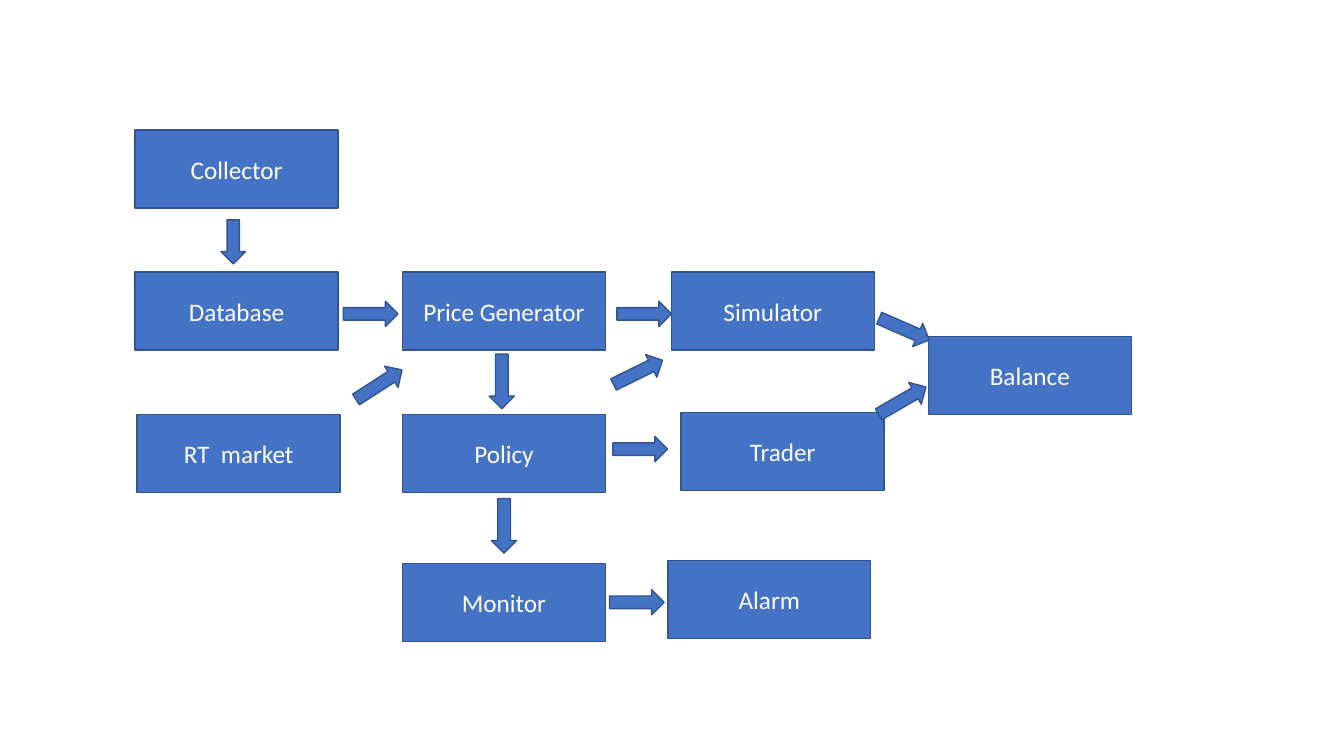
from dataclasses import dataclass

from pptx import Presentation
from pptx.dml.color import RGBColor
from pptx.enum.shapes import MSO_SHAPE
from pptx.enum.text import MSO_ANCHOR, PP_ALIGN
from pptx.shapes.autoshape import Shape
from pptx.slide import Slide
from pptx.util import Pt

COLORS = {"fill": "4472C4", "outline": "325491", "text": "FFFFFF"}
FONT = "Calibri"
BOX_WIDTH, BOX_HEIGHT = 145, 55.7
COLUMNS = (96.5, 287.5, 479.5)
ROWS = (92.9, 194.4, 295.9, 402.5)


@dataclass(frozen=True)
class Stage:
    """A labelled box of the flow, placed by its top left corner."""
    label: str
    left: float
    top: float


@dataclass(frozen=True)
class Arrow:
    """A block arrow, placed by its unrotated top left corner."""
    left: float
    top: float
    rotation: float = 0
    width: float = 39
    height: float = 18
    preset: MSO_SHAPE = MSO_SHAPE.RIGHT_ARROW


STAGES = (
    Stage("Collector", COLUMNS[0], ROWS[0]),
    Stage("Database", COLUMNS[0], ROWS[1]),
    Stage("Price Generator", COLUMNS[1], ROWS[1]),
    Stage("Simulator", COLUMNS[2], ROWS[1]),
    Stage("RT  market", 98, ROWS[2]),
    Stage("Policy", COLUMNS[1], ROWS[2]),
    Stage("Trader", 486.5, 294.5),
    Stage("Monitor", COLUMNS[1], ROWS[3]),
    Stage("Alarm", 477, 400.3),
    Stage("Balance", 663.1, 240.5),
)

ARROWS = (
    Arrow(157.8, 157, width=17.6, height=31.5, preset=MSO_SHAPE.DOWN_ARROW),
    Arrow(245.3, 215.2),
    Arrow(440.7, 215.2),
    Arrow(338.9, 263.5, rotation=90),
    Arrow(437.8, 311.8),
    Arrow(436.3, 257, rotation=333.8),
    Arrow(340.5, 366.6, rotation=90),
    Arrow(626.4, 226.1, rotation=23.6),
    Arrow(625, 277.2, rotation=330),
    Arrow(251.2, 265.8, rotation=327.3),
    Arrow(435.5, 421.2),
)


def color(name: str) -> RGBColor:
    """Look up a named colour."""
    return RGBColor.from_string(COLORS[name])


def add_block(page: Slide, preset: MSO_SHAPE, left: float, top: float,
              width: float, height: float) -> Shape:
    """Add a filled, outlined shape without a shadow."""
    block = page.shapes.add_shape(preset, Pt(left), Pt(top), Pt(width), Pt(height))
    block.shadow.inherit = False
    block.fill.solid()
    block.fill.fore_color.rgb = color("fill")
    block.line.color.rgb = color("outline")
    block.line.width = Pt(1)
    return block


def draw_stage(page: Slide, stage: Stage) -> None:
    """Draw a box with its centred label."""
    box = add_block(page, MSO_SHAPE.RECTANGLE, stage.left, stage.top,
                    BOX_WIDTH, BOX_HEIGHT)
    box.text_frame.word_wrap = True
    box.text_frame.vertical_anchor = MSO_ANCHOR.MIDDLE
    para = box.text_frame.paragraphs[0]
    para.alignment = PP_ALIGN.CENTER
    span = para.add_run()
    span.text = stage.label
    span.font.name = FONT
    span.font.size = Pt(18)
    span.font.color.rgb = color("text")


def draw_arrow(page: Slide, arrow: Arrow) -> None:
    """Draw a block arrow at its angle."""
    block = add_block(page, arrow.preset, arrow.left, arrow.top,
                      arrow.width, arrow.height)
    block.rotation = arrow.rotation


def main() -> None:
    """Build the flow diagram and save the deck."""
    deck = Presentation()
    deck.slide_width, deck.slide_height = Pt(960), Pt(540)
    page = deck.slides.add_slide(deck.slide_layouts[6])
    for stage in STAGES:
        draw_stage(page, stage)
    for arrow in ARROWS:
        draw_arrow(page, arrow)
    deck.save("out.pptx")


main()
